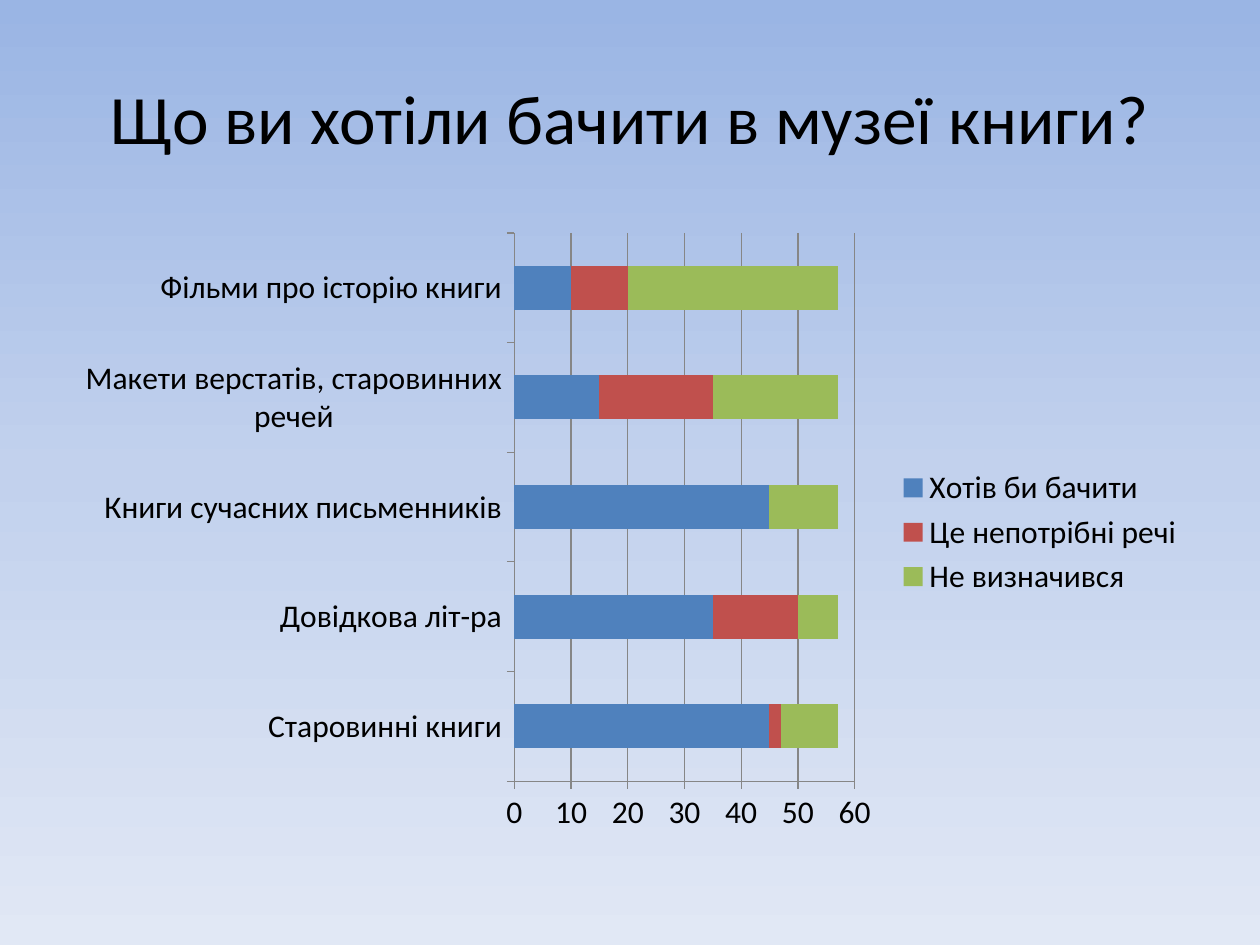
from copy import deepcopy
from dataclasses import dataclass

from pptx import Presentation
from pptx.chart.data import CategoryChartData
from pptx.dml.color import RGBColor
from pptx.enum.chart import XL_CHART_TYPE, XL_LEGEND_POSITION, XL_TICK_MARK
from pptx.enum.text import MSO_ANCHOR, MSO_AUTO_SIZE, PP_ALIGN
from pptx.oxml.ns import qn
from pptx.util import Inches, Pt

BAR_STACKED = XL_CHART_TYPE.BAR_STACKED
LEGEND_RIGHT = XL_LEGEND_POSITION.RIGHT
TICK_OUT = XL_TICK_MARK.OUTSIDE
MIDDLE = MSO_ANCHOR.MIDDLE
NO_AUTOFIT = MSO_AUTO_SIZE.NONE
CENTER = PP_ALIGN.CENTER
TITLE_ONLY = 5


@dataclass(frozen=True)
class Theme:
    """Colours and type sizes of the slide."""
    font: str = "Calibri"
    title_size: float = 39.6
    chart_size: float = 18
    text: str = "000000"
    axis: str = "868686"
    series: tuple = ("4F81BD", "C0504D", "9BBB59")
    background: tuple = ((0, "9AB5E4"), (0.5, "C2D1ED"), (1, "E1E8F5"))


THEME = Theme()
TITLE = "Що ви хотіли бачити в музеї книги?"
CATEGORIES = (
    "Cтаровинні книги",
    "Довідкова літ-ра",
    "Книги сучасних письменників",
    "Макети верстатів, старовинних речей",
    "Фільми про історію книги",
)
ANSWERS = {
    "Хотів би бачити": (45, 35, 45, 15, 10),
    "Це непотрібні речі": (2, 15, 0, 20, 10),
    "Не визначився": (10, 7, 12, 22, 37),
}


def style_font(font, size):
    """Apply the theme typeface and text colour at the given size."""
    font.name = THEME.font
    font.size = Pt(size)
    font.color.rgb = RGBColor.from_string(THEME.text)


def style_line(line):
    """Give an axis or gridline the thin theme line."""
    line.color.rgb = RGBColor.from_string(THEME.axis)
    line.width = Pt(0.75)


def paint_background(s):
    """Fill the slide with a vertical gradient."""
    fill = s.background.fill
    fill.gradient()
    fill.gradient_angle = 270
    stop_list = next(s.element.iter(qn("a:gsLst")))
    while len(stop_list) < len(THEME.background):
        stop_list.append(deepcopy(stop_list[0]))
    for stop, (position, color) in zip(fill.gradient_stops, THEME.background):
        stop.position = position
        stop.color.rgb = RGBColor.from_string(color)


def place_title(s, left, top, width, height):
    """Place the centred question in the title placeholder."""
    sp = s.shapes.title
    sp.left, sp.top, sp.width, sp.height = left, top, width, height
    tf = sp.text_frame
    tf.word_wrap = True
    tf.auto_size = NO_AUTOFIT
    tf.vertical_anchor = MIDDLE
    p = tf.paragraphs[0]
    p.alignment = CENTER
    r = p.add_run()
    r.text = TITLE
    style_font(r.font, THEME.title_size)


def place_chart(s, left, top, width, height):
    """Place the stacked bars of survey answers."""
    data = CategoryChartData()
    data.categories = CATEGORIES
    for name, values in ANSWERS.items():
        data.add_series(name, values)
    chart = s.shapes.add_chart(BAR_STACKED, left, top, width, height, data).chart
    style_font(chart.font, THEME.chart_size)
    chart.has_title = False
    chart.has_legend = True
    chart.legend.position = LEGEND_RIGHT
    chart.legend.include_in_layout = False

    plot = chart.plots[0]
    plot.gap_width = 150
    plot.overlap = 100
    plot.vary_by_categories = False
    for series, color in zip(plot.series, THEME.series):
        series.format.fill.solid()
        series.format.fill.fore_color.rgb = RGBColor.from_string(color)

    for axis in (chart.category_axis, chart.value_axis):
        axis.major_tick_mark = TICK_OUT
        style_line(axis.format.line)
    chart.value_axis.has_major_gridlines = True
    style_line(chart.value_axis.major_gridlines.format.line)


def main():
    """Build and save the survey slide."""
    prs = Presentation()
    prs.slide_width, prs.slide_height = Inches(10), Inches(7.5)
    s = prs.slides.add_slide(prs.slide_layouts[TITLE_ONLY])
    paint_background(s)
    place_title(s, Inches(0.5), Inches(0.3), Inches(9), Inches(1.25))
    place_chart(s, Inches(0.5), Inches(1.75), Inches(9), Inches(4.95))
    prs.save("out.pptx")


if __name__ == "__main__":
    main()
